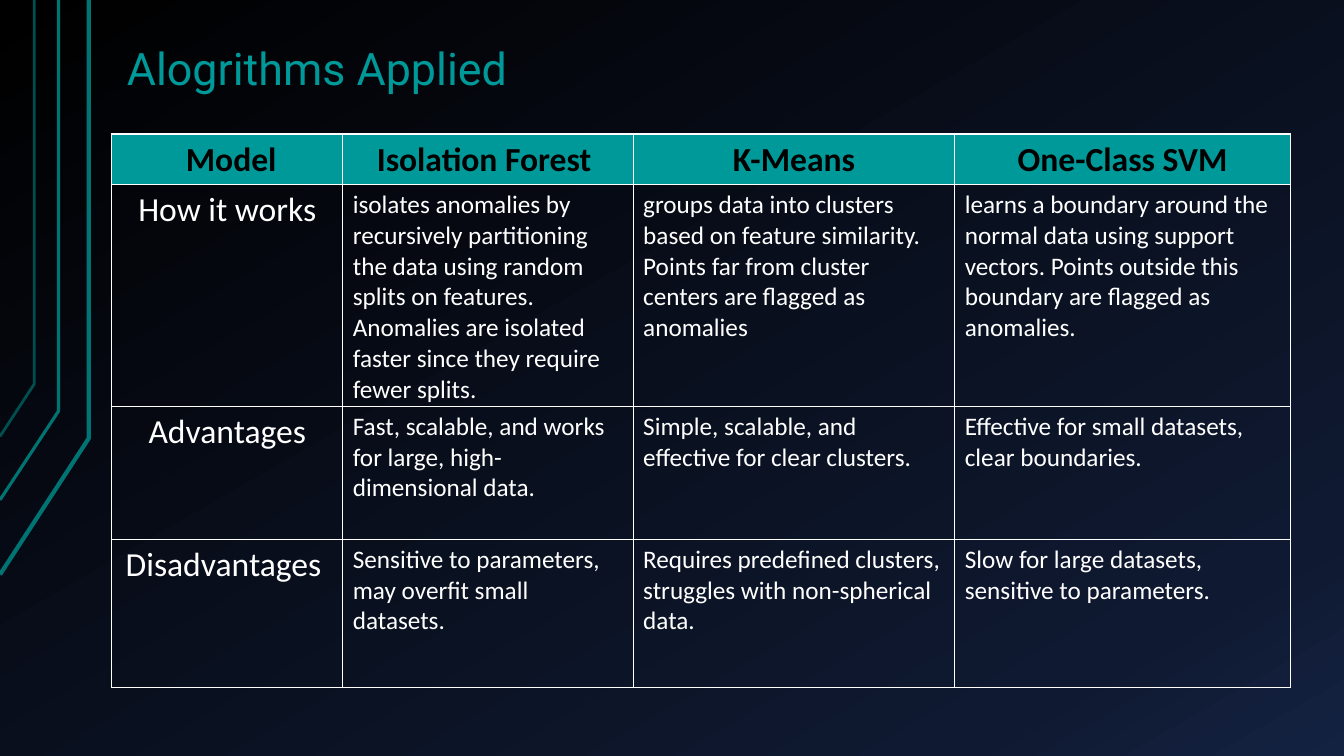
from copy import deepcopy

from lxml import etree
from pptx import Presentation
from pptx import util as u
from pptx.dml import color
from pptx.enum import text
from pptx.oxml import ns

TEAL = "009999"
WHITE = "FFFFFF"
BLACK = "000000"

STOPS = [(0, BLACK), (0.85, "0F1931"), (1, "142242")]

BENDS = [
    ([(0, 5.7), (0.88, 4.35), (0.88, 0)], "007373", 3),
    ([(0, 4.96), (0.58, 4.08), (0.58, 0)], "007373", 2.25),
    ([(0, 4.33), (0.34, 3.81), (0.34, 0)], "004F4F", 2),
]

COLS = [2.29, 2.88, 3.19, 3.33]
ROWS = [0.5, 2.2, 1.32, 1.47]
CELLS = [
    [" Model", "Isolation Forest ", "K-Means", "One-Class SVM"],
    [
        "How it works",
        "isolates anomalies by recursively partitioning the data using random "
        "splits on features. Anomalies are isolated faster since they require "
        "fewer splits.",
        "groups data into clusters based on feature similarity. Points far "
        "from cluster centers are flagged as anomalies",
        "learns a boundary around the normal data using support vectors. "
        "Points outside this boundary are flagged as anomalies.",
    ],
    [
        "Advantages",
        "Fast, scalable, and works for large, high-dimensional data.",
        "Simple, scalable, and effective for clear clusters.",
        "Effective for small datasets, clear boundaries.",
    ],
    [
        "Disadvantages ",
        "Sensitive to parameters, may overfit small datasets.",
        "Requires predefined clusters, struggles with non-spherical data.",
        "Slow for large datasets, sensitive to parameters.",
    ],
]


def rgb(code):
    return color.RGBColor.from_string(code)


def style(frame, face, size, code, bold=False):
    for run in frame.paragraphs[0].runs:
        run.font.name = face
        run.font.size = u.Pt(size)
        run.font.bold = bold
        run.font.color.rgb = rgb(code)


def paint_back(slide):
    fill = slide.background.fill
    fill.gradient()
    fill.gradient_angle = 300
    first = next(slide.element.iter(ns.qn("a:gs")))
    first.addnext(deepcopy(first))
    for stop, (place, code) in zip(fill.gradient_stops, STOPS):
        stop.position = place
        stop.color.rgb = rgb(code)


def add_bend(slide, points, code, width):
    start, *rest = [(u.Inches(x), u.Inches(y)) for x, y in points]
    pen = slide.shapes.build_freeform(*start)
    pen.add_line_segments(rest, close=False)
    bend = pen.convert_to_shape()
    bend.shadow.inherit = False
    bend.fill.background()
    bend.line.color.rgb = rgb(code)
    bend.line.width = u.Pt(width)


def add_title(slide, words):
    box = slide.shapes.add_textbox(
        u.Inches(1.16), u.Inches(0.35), u.Inches(5.83), u.Inches(0.64)
    )
    frame = box.text_frame
    frame.word_wrap = True
    frame.text = words
    style(frame, "Roboto", 32, TEAL)


def add_edges(cell):
    props = cell._tc.get_or_add_tcPr()
    for side in ("lnL", "lnR", "lnT", "lnB"):
        edge = etree.SubElement(props, ns.qn(f"a:{side}"), w=str(u.Pt(1)))
        solid = etree.SubElement(edge, ns.qn("a:solidFill"))
        etree.SubElement(solid, ns.qn("a:srgbClr"), val=WHITE)


def fill_cell(cell, words, head, label):
    add_edges(cell)
    if head:
        cell.fill.solid()
        cell.fill.fore_color.rgb = rgb(TEAL)
    else:
        cell.fill.background()
    frame = cell.text_frame
    frame.text = words
    if head or label:
        frame.paragraphs[0].alignment = text.PP_ALIGN.CENTER
    size = 24 if head or label else 18
    style(frame, "Calibri", size, BLACK if head else WHITE, head)


def add_grid(slide):
    grid = slide.shapes.add_table(
        len(ROWS), len(COLS), u.Inches(1.11), u.Inches(1.33),
        u.Inches(sum(COLS)), u.Inches(sum(ROWS)),
    ).table
    grid.horz_banding = False
    for col, width in zip(grid.columns, COLS):
        col.width = u.Inches(width)
    for row, height in zip(grid.rows, ROWS):
        row.height = u.Inches(height)
    for r, line in enumerate(CELLS):
        for c, words in enumerate(line):
            fill_cell(grid.cell(r, c), words, r == 0, c == 0)


def main():
    deck = Presentation()
    deck.slide_width = u.Inches(13.33)
    deck.slide_height = u.Inches(7.5)
    slide = deck.slides.add_slide(deck.slide_layouts[6])
    paint_back(slide)
    for points, code, width in BENDS:
        add_bend(slide, points, code, width)
    add_title(slide, "Alogrithms Applied")
    add_grid(slide)
    deck.save("out.pptx")


if __name__ == "__main__":
    main()
